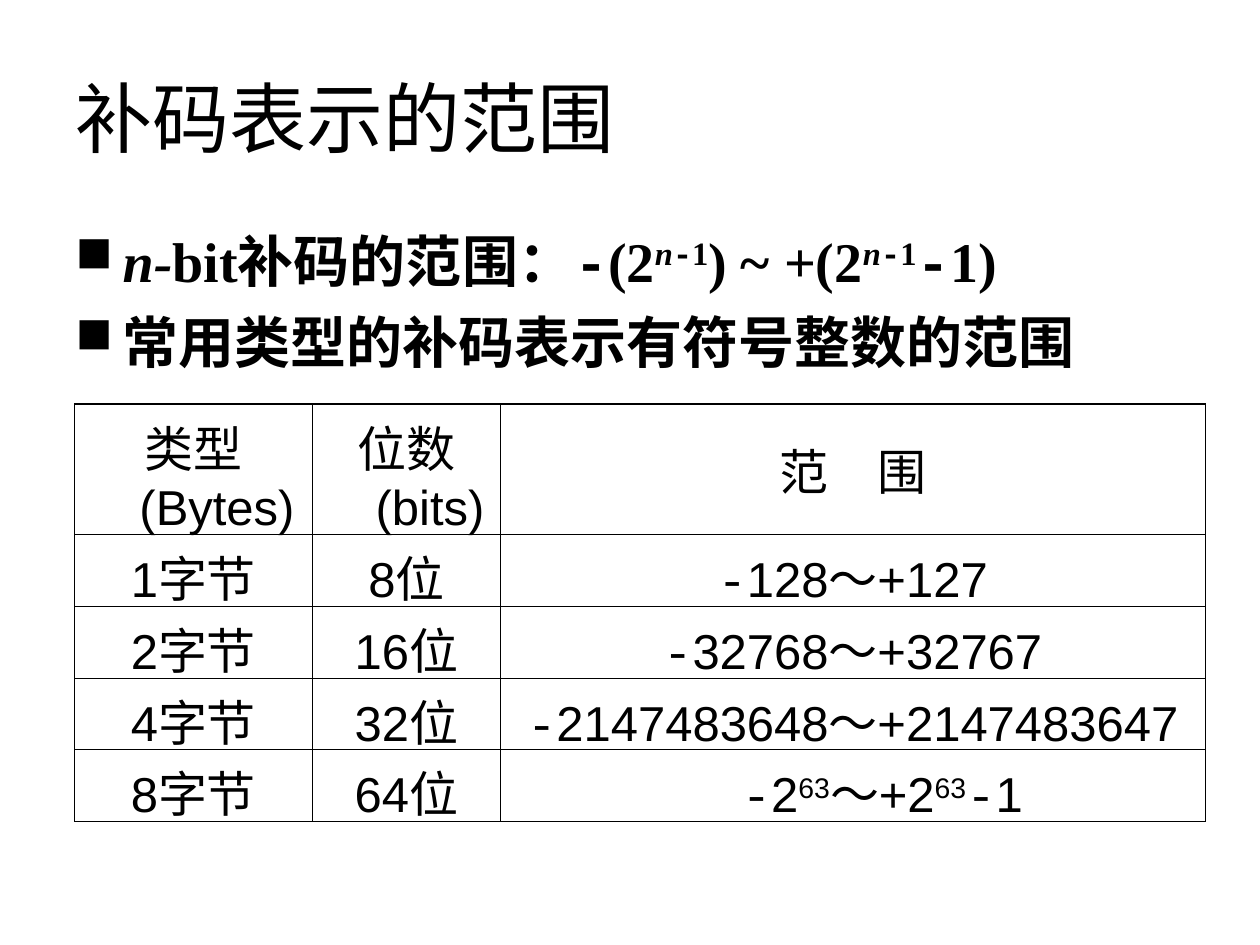
"""Build the slide on the range of two's complement numbers."""
from lxml import etree
from pptx import Presentation
from pptx.dml.color import RGBColor
from pptx.enum.lang import MSO_LANGUAGE_ID
from pptx.enum.text import MSO_ANCHOR, PP_ALIGN
from pptx.oxml.ns import qn
from pptx.util import Pt

MIDDLE, TOP = MSO_ANCHOR.MIDDLE, MSO_ANCHOR.TOP
CENTER = PP_ALIGN.CENTER
CHINESE = MSO_LANGUAGE_ID.SIMPLIFIED_CHINESE
COLORS = {"ink": "000000", "paper": "FFFFFF"}
ARIAL, COURIER, TIMES = "Arial", "Courier New", "Times New Roman"
HANGING = 27
COLUMN_WIDTHS = (136, 107.5, 402.5)
ROW_HEIGHTS = (74, 41, 41, 41, 41)

TITLE_FORMAT = {"size": Pt(44), "name": ARIAL}
BODY_FORMAT = {"size": Pt(32), "name": TIMES, "bold": True}
CELL_FORMAT = {"size": Pt(28), "name": ARIAL}
MINUS = ("-", {"name": COURIER})
SUPER_MINUS = ("-", {"name": COURIER, "super": True})
SUPER_N = ("n", {"italic": True, "super": True})
SUPER_ONE = ("1", {"super": True})
SUPER_63 = ("63", {"super": True})
TILDE = ("～", {"name": TIMES})

BULLETS = [
    [("n-", {"italic": True}), ("bit补码的范围：", {}), MINUS, ("(2", {}),
     SUPER_N, SUPER_MINUS, SUPER_ONE, (") ~ +(2", {}),
     SUPER_N, SUPER_MINUS, SUPER_ONE, MINUS, ("1)", {})],
    [("常用类型的补码表示有符号整数的范围", {})],
]
HEADINGS = ("类型(Bytes)", "位数(bits)", "范　围")
RANGES = [
    [MINUS, ("128", {}), TILDE, ("+127", {})],
    [MINUS, ("32768", {}), TILDE, ("+32767", {})],
    [MINUS, ("2147483648", {}), TILDE, ("+2147483647", {})],
    [MINUS, ("2", {}), SUPER_63, TILDE, ("+2", {}), SUPER_63, MINUS, ("1", {})],
]


def write_runs(paragraph, pieces, base_format):
    """Add the text pieces, each with the base format and its own changes."""
    for wording, changes in pieces:
        run = paragraph.add_run()
        run.text = wording
        run.font.language_id = CHINESE
        run.font.color.rgb = RGBColor.from_string(COLORS["ink"])
        values = {**base_format, **changes}
        if values.pop("super", False):
            run.font._element.set("baseline", "30000")
        for attribute, value in values.items():
            setattr(run.font, attribute, value)


def set_hanging(paragraph, left=HANGING):
    """Indent the paragraph with a hanging first line."""
    properties = paragraph._p.get_or_add_pPr()
    properties.set("marL", str(Pt(left)))
    properties.set("indent", str(Pt(-HANGING)))
    return properties


def add_bullet(paragraph):
    """Give the paragraph a square bullet."""
    properties = set_hanging(paragraph)
    color = etree.SubElement(properties, qn("a:buClr"))
    etree.SubElement(color, qn("a:srgbClr"), val=COLORS["ink"])
    etree.SubElement(properties, qn("a:buSzPct"), val="90000")
    etree.SubElement(properties, qn("a:buChar"), char="■")


def add_text_frame(slide, left, top, width, height, anchor):
    """Add a wrapping text box and return its text frame."""
    box = slide.shapes.add_textbox(Pt(left), Pt(top), Pt(width), Pt(height))
    box.text_frame.word_wrap = True
    box.text_frame.vertical_anchor = anchor
    return box.text_frame


def add_title(slide):
    """Add the slide title."""
    frame = add_text_frame(slide, 36, 21.6, 648, 90, MIDDLE)
    write_runs(frame.paragraphs[0], [("补码表示的范围", {})], TITLE_FORMAT)


def add_bullets(slide):
    """Add the bulleted statements."""
    frame = add_text_frame(slide, 36, 126, 647.3, 121.7, TOP)
    for index, pieces in enumerate(BULLETS):
        paragraph = frame.add_paragraph() if index else frame.paragraphs[0]
        paragraph.space_before = Pt(8)
        add_bullet(paragraph)
        write_runs(paragraph, pieces, BODY_FORMAT)


def set_borders(cell, widths):
    """Draw the cell borders, given widths by side."""
    properties = cell._tc.get_or_add_tcPr()
    for side, width in widths.items():
        line = etree.SubElement(properties, qn(f"a:ln{side}"), w=str(Pt(width)))
        fill = etree.SubElement(line, qn("a:solidFill"))
        etree.SubElement(fill, qn("a:srgbClr"), val=COLORS["ink"])


def fill_cell(cell, pieces, left):
    """Write one centred table cell."""
    cell.vertical_anchor = MIDDLE
    cell.fill.background()
    paragraph = cell.text_frame.paragraphs[0]
    paragraph.alignment = CENTER
    set_hanging(paragraph, left)
    write_runs(paragraph, pieces, CELL_FORMAT)


def add_range_table(slide):
    """Add the table of integer sizes and their ranges."""
    rows = [[[(heading, {})] for heading in HEADINGS]]
    for power, limits in enumerate(RANGES):
        size = 2 ** power
        rows.append([[(str(size), {}), ("字节", {"name": TIMES})],
                     [(str(size * 8), {}), ("位", {"name": TIMES})], limits])
    last_row, last_column = len(rows) - 1, len(HEADINGS) - 1
    table = slide.shapes.add_table(
        len(rows), len(HEADINGS), Pt(42.5), Pt(231),
        Pt(sum(COLUMN_WIDTHS)), Pt(sum(ROW_HEIGHTS))).table
    table.first_row = table.horz_banding = False
    for column, width in zip(table.columns, COLUMN_WIDTHS):
        column.width = Pt(width)
    for row, height in zip(table.rows, ROW_HEIGHTS):
        row.height = Pt(height)
    for r, row in enumerate(rows):
        for c, pieces in enumerate(row):
            cell = table.cell(r, c)
            set_borders(cell, {"L": 0.45 if c else 0.34,
                               "R": 0.34 if c == last_column else 0.45,
                               "T": 0.45 if r else 0.96,
                               "B": 0.96 if r == last_row else 0.45})
            shifted = r == last_row and c == last_column
            fill_cell(cell, pieces, HANGING + 34 if shifted else HANGING)


def main():
    """Build and save the slide."""
    presentation = Presentation()
    presentation.slide_width, presentation.slide_height = Pt(720), Pt(540)
    slide = presentation.slides.add_slide(presentation.slide_layouts[6])
    slide.background.fill.solid()
    slide.background.fill.fore_color.rgb = RGBColor.from_string(COLORS["paper"])
    add_title(slide)
    add_bullets(slide)
    add_range_table(slide)
    presentation.save("out.pptx")


if __name__ == "__main__":
    main()
